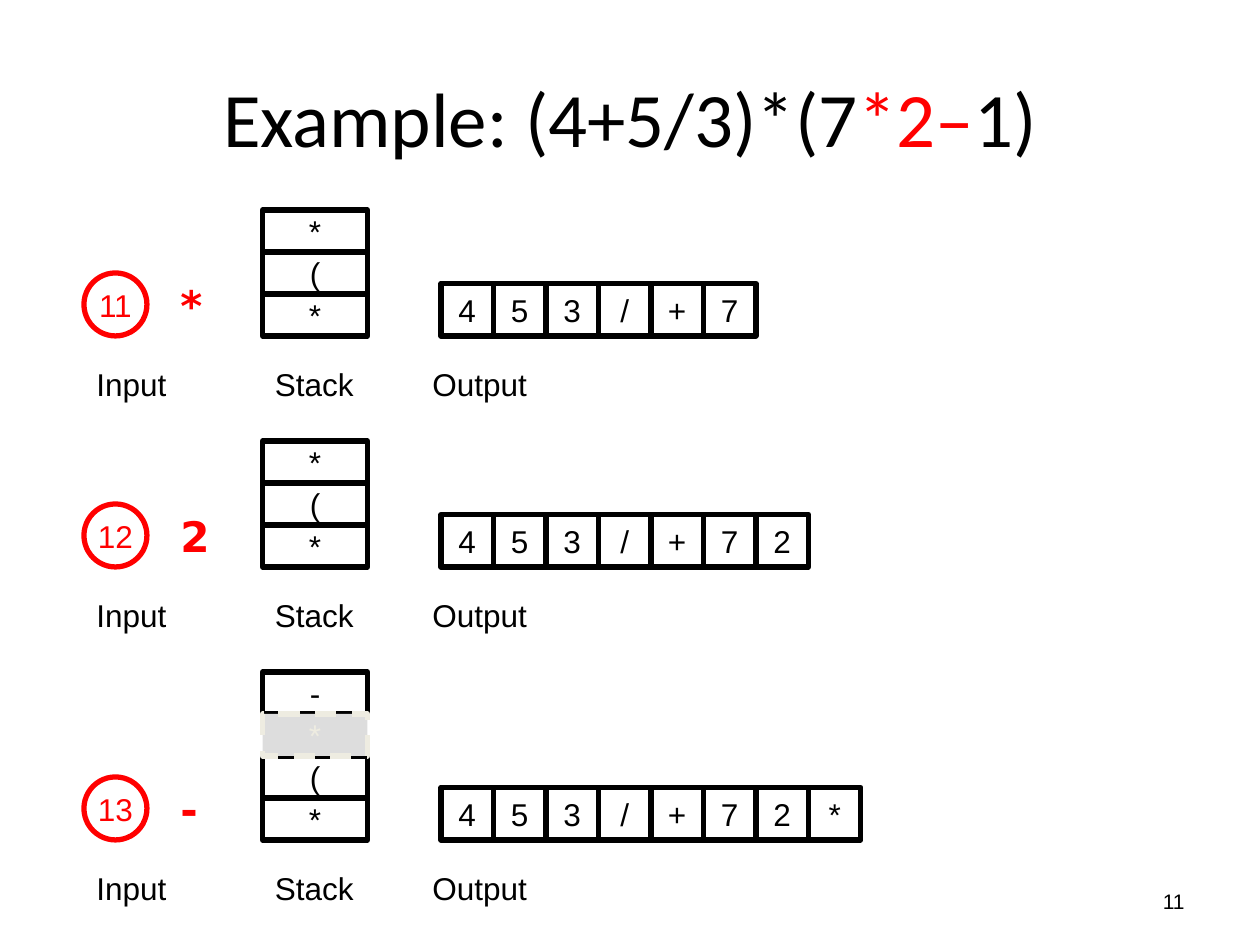
from dataclasses import dataclass

from lxml import etree
from pptx import Presentation
from pptx.dml.color import RGBColor
from pptx.enum.dml import MSO_LINE
from pptx.enum.shapes import MSO_SHAPE
from pptx.enum.text import MSO_ANCHOR, PP_ALIGN
from pptx.oxml.ns import qn
from pptx.util import Pt

RECTANGLE, OVAL = MSO_SHAPE.RECTANGLE, MSO_SHAPE.OVAL
LEFT, CENTER, RIGHT = PP_ALIGN.LEFT, PP_ALIGN.CENTER, PP_ALIGN.RIGHT
TOP, MIDDLE = MSO_ANCHOR.TOP, MSO_ANCHOR.MIDDLE
DASH = MSO_LINE.DASH


@dataclass(frozen=True)
class Theme:
    ink: RGBColor = RGBColor.from_string("000000")
    accent: RGBColor = RGBColor.from_string("FF0000")
    paper: RGBColor = RGBColor.from_string("FFFFFF")
    popped_fill: RGBColor = RGBColor.from_string("DDDDDD")
    popped_ink: RGBColor = RGBColor.from_string("EEECE1")
    body_font: str = "Arial"
    title_font: str = "Calibri"
    token_font: str = "DejaVu Sans"
    title_size: int = 44
    token_size: int = 24
    body_size: int = 18
    number_size: int = 12
    line_width: int = 3


THEME = Theme()
INPUT_LEFT, TOKEN_LEFT, STACK_LEFT = 48, 96, 150
OUTPUT_LEFT, OUTPUT_LABEL_LEFT = 252, 240
CIRCLE_SIZE, STACK_WIDTH, STACK_HEIGHT, OUTPUT_SIZE = 36, 60, 24, 30
LABEL_GAP = 13

STEPS = [
    (192, "11", "*", "*(*", "453/+7"),
    (324, "12", "2", "*(*", "453/+72"),
    (480, "13", "-", "*(*-", "453/+72*"),
]
POPPED = (2, 2)


def style(para, size, font=THEME.body_font, color=THEME.ink, align=LEFT):
    para.alignment = align
    para.font.size = Pt(size)
    para.font.name = font
    if color is not None:
        para.font.color.rgb = color


def add_text(page, bounds, text, size=THEME.body_size, anchor=TOP, **look):
    box = page.shapes.add_textbox(*map(Pt, bounds))
    frame = box.text_frame
    frame.word_wrap = True
    frame.vertical_anchor = anchor
    para = frame.paragraphs[0]
    para.text = text
    style(para, size, **look)
    return para


def add_half_line_before(para):
    spacing = etree.SubElement(para._p.get_or_add_pPr(), qn("a:spcBef"))
    etree.SubElement(spacing, qn("a:spcPct")).set("val", "50000")
    para._p.pPr.insert(0, spacing)


def add_cell(page, kind, bounds, text, color=THEME.ink, fill=THEME.paper):
    shape = page.shapes.add_shape(kind, *map(Pt, bounds))
    shape.shadow.inherit = False
    shape.fill.solid()
    shape.fill.fore_color.rgb = fill
    shape.line.color.rgb = color
    shape.line.width = Pt(THEME.line_width)
    frame = shape.text_frame
    frame.word_wrap = False
    frame.vertical_anchor = MIDDLE
    frame.text = text
    style(frame.paragraphs[0], THEME.body_size, color=color, align=CENTER)
    return shape


def add_title(page):
    para = add_text(page, (36, 21.6, 648, 90), "", THEME.title_size, MIDDLE,
                    font=THEME.title_font, color=None, align=CENTER)
    for text, color in (("Example: (4+5/3)*(7", THEME.ink),
                        ("*2–", THEME.accent), ("1)", THEME.ink)):
        span = para.add_run()
        span.text = text
        span.font.color.rgb = color


def add_input(page, base, number, token):
    top = base - CIRCLE_SIZE
    add_cell(page, OVAL, (INPUT_LEFT, top, CIRCLE_SIZE, CIRCLE_SIZE),
             number, THEME.accent)
    para = add_text(page, (TOKEN_LEFT, top, 30, CIRCLE_SIZE), token,
                    THEME.token_size, font=THEME.token_font, color=THEME.accent)
    para.font.bold = True
    add_half_line_before(para)


def add_stack(page, base, symbols, popped):
    levels = sorted(enumerate(symbols), key=lambda entry: entry[0] == popped)
    for level, symbol in levels:
        bounds = (STACK_LEFT, base - (level + 1) * STACK_HEIGHT,
                  STACK_WIDTH, STACK_HEIGHT)
        if level == popped:
            cell = add_cell(page, RECTANGLE, bounds, symbol,
                            THEME.popped_ink, THEME.popped_fill)
            cell.line.dash_style = DASH
        else:
            add_cell(page, RECTANGLE, bounds, symbol)


def add_output(page, base, symbols):
    for index, symbol in enumerate(symbols):
        add_cell(page, RECTANGLE,
                 (OUTPUT_LEFT + index * OUTPUT_SIZE, base - OUTPUT_SIZE,
                  OUTPUT_SIZE, OUTPUT_SIZE), symbol)


def add_labels(page, base):
    for left, text in ((INPUT_LEFT, "Input"), (STACK_LEFT, "Stack"),
                       (OUTPUT_LABEL_LEFT, "Output")):
        para = add_text(page, (left, base + LABEL_GAP, 72, 28.8), text)
        add_half_line_before(para)


def main():
    deck = Presentation()
    deck.slide_width, deck.slide_height = Pt(720), Pt(540)
    page = deck.slides.add_slide(deck.slide_layouts[6])
    add_title(page)
    for index, (base, number, token, stack, output) in enumerate(STEPS):
        popped = POPPED[1] if index == POPPED[0] else None
        add_input(page, base, number, token)
        add_stack(page, base, stack, popped)
        add_output(page, base, output)
        add_labels(page, base)
    add_text(page, (516, 500.5, 168, 28.8), "11", THEME.number_size, MIDDLE,
             align=RIGHT)
    deck.save("out.pptx")


if __name__ == "__main__":
    main()
